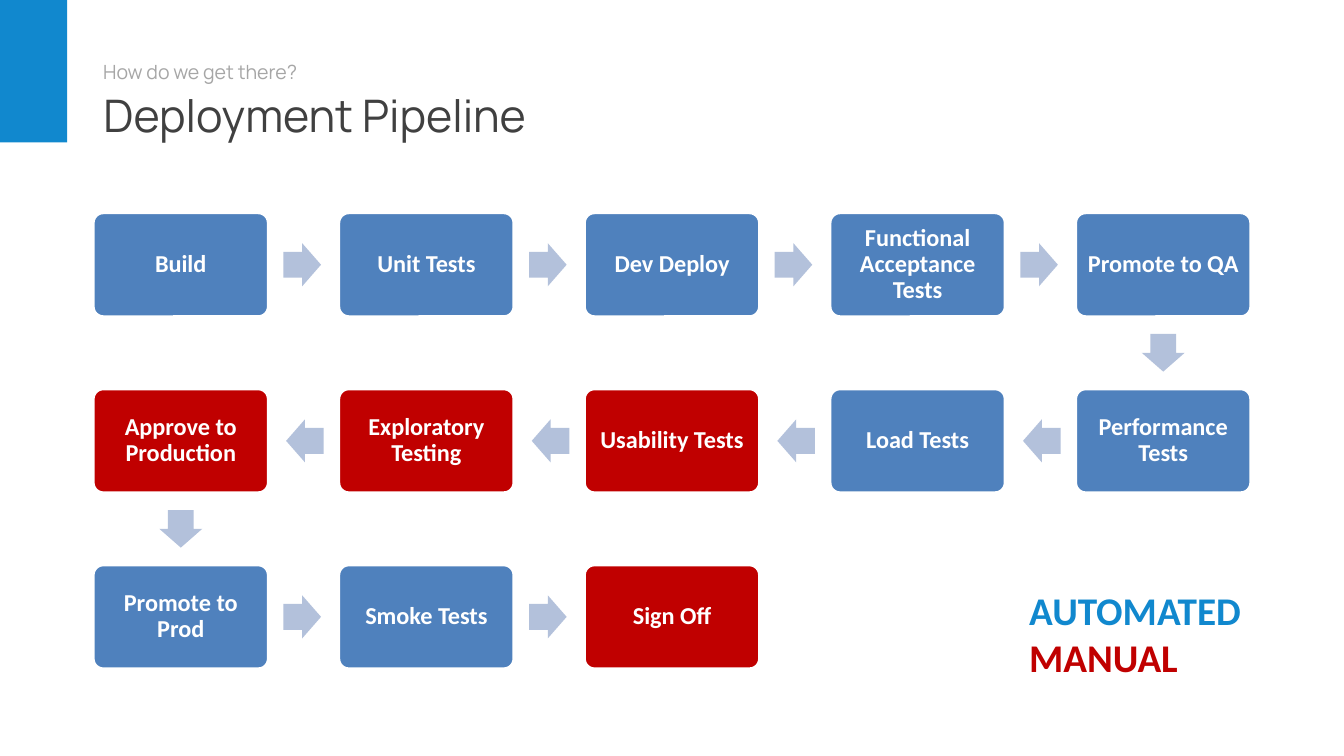
from pptx import Presentation
from pptx.dml.color import RGBColor
from pptx.enum.shapes import MSO_SHAPE
from pptx.enum.text import MSO_ANCHOR, MSO_AUTO_SIZE, PP_ALIGN
from pptx.util import Inches, Pt

RECT, ROUNDED, ARROW = MSO_SHAPE.RECTANGLE, MSO_SHAPE.ROUNDED_RECTANGLE, MSO_SHAPE.RIGHT_ARROW
TOP, MIDDLE = MSO_ANCHOR.TOP, MSO_ANCHOR.MIDDLE
LEFT, CENTER = PP_ALIGN.LEFT, PP_ALIGN.CENTER

# Content: steps in running order, with the kind of work each one is
TITLE = "Deployment Pipeline"
SUBTITLE = "How do we get there?"
STEPS = [
    ("Build", "auto"), ("Unit Tests", "auto"), ("Dev Deploy", "auto"),
    ("Functional Acceptance Tests", "auto"), ("Promote to QA", "auto"),
    ("Performance Tests", "auto"), ("Load Tests", "auto"),
    ("Usability Tests", "manual"), ("Exploratory Testing", "manual"),
    ("Approve to Production", "manual"),
    ("Promote to Prod", "auto"), ("Smoke Tests", "auto"), ("Sign Off", "manual"),
]
LEGEND = [("AUTOMATED", "accent"), ("MANUAL", "manual")]

COLORS = {"accent": "1188CE", "auto": "4F81BD", "manual": "C00000", "arrow": "B3C1DB",
          "title": "404040", "subtitle": "A6A6A6", "white": "FFFFFF"}
FORMATS = {
    "title": {"name": "Manrope", "size": Pt(24), "bold": False},
    "subtitle": {"name": "Manrope", "size": Pt(10.5), "bold": False},
    "step": {"name": "Calibri", "size": Pt(13), "bold": True},
    "legend": {"name": "Calibri", "size": Pt(21), "bold": True},
}

# Slide and grid in inches
SLIDE_W = 10
SLIDE_H = SLIDE_W * 9 / 16
COLS = 5
GRID_X, GRID_Y, LAST_X = 0.69, 1.58, 8
COL_PITCH, ROW_PITCH = (LAST_X - GRID_X) / (COLS - 1), 1.31
BOX_W, BOX_H = 1.31, 0.78
ARROW_W, ARROW_H = 0.28, 0.32


def rgb(key):
    return RGBColor.from_string(COLORS[key])


def add_shape(s, kind, box, fill, line=None):
    sp = s.shapes.add_shape(kind, *map(Inches, box))
    sp.shadow.inherit = False
    sp.fill.solid()
    sp.fill.fore_color.rgb = rgb(fill)
    if line:
        sp.line.color.rgb = rgb(line)
        sp.line.width = Pt(2)
    else:
        sp.line.fill.background()
    return sp


def write(sp, lines, style, align=LEFT, anchor=TOP, wrap=True):
    tf = sp.text_frame
    tf.word_wrap = wrap
    tf.auto_size = MSO_AUTO_SIZE.NONE
    tf.vertical_anchor = anchor
    for i, (text, color) in enumerate(lines):
        p = tf.add_paragraph() if i else tf.paragraphs[0]
        p.alignment = align
        r = p.add_run()
        r.text = text
        for name, value in FORMATS[style].items():
            setattr(r.font, name, value)
        r.font.color.rgb = rgb(color)
    return tf


def add_text(s, box, *args, **kwargs):
    return write(s.shapes.add_textbox(*map(Inches, box)), *args, **kwargs)


def cell_center(i):
    """Centre of step i; every second row runs right to left."""
    row, col = divmod(i, COLS)
    if row % 2:
        col = COLS - 1 - col
    return GRID_X + col * COL_PITCH + BOX_W / 2, GRID_Y + row * ROW_PITCH + BOX_H / 2


def add_step(s, i, text, kind):
    x, y = cell_center(i)
    sp = add_shape(s, ROUNDED, (x - BOX_W / 2, y - BOX_H / 2, BOX_W, BOX_H), kind, "white")
    sp.adjustments[0] = 0.1
    tf = write(sp, [(text, "white")], "step", CENTER, MIDDLE)
    tf.paragraphs[0].line_spacing = 0.9
    for side in ("left", "right", "top", "bottom"):
        setattr(tf, f"margin_{side}", Inches(0.07))


def add_arrow(s, i):
    """Arrow halfway between step i and the next one."""
    (x1, y1), (x2, y2) = cell_center(i), cell_center(i + 1)
    x, y = (x1 + x2) / 2, (y1 + y2) / 2
    if y2 > y1:
        angle = 90
    else:
        angle = 0 if x2 > x1 else 180
        x += -0.01 if x2 > x1 else 0.01
    sp = add_shape(s, ARROW, (x - ARROW_W / 2, y - ARROW_H / 2, ARROW_W, ARROW_H), "arrow")
    sp.adjustments[0], sp.adjustments[1] = 0.6, 0.5
    sp.rotation = angle


prs = Presentation()
prs.slide_width, prs.slide_height = Inches(SLIDE_W), Inches(SLIDE_H)
s = prs.slides.add_slide(prs.slide_layouts[5])

# Heading
add_shape(s, RECT, (0, 0, 0.5, 1.06), "accent")
title = s.shapes.title
title.left, title.top, title.width, title.height = map(Inches, (0.67, 0.38, 8.33, 0.94))
write(title, [(TITLE, "title")], "title", anchor=MIDDLE)
add_text(s, (0.67, 0.4, 5.5, 0.35), [(SUBTITLE, "subtitle")], "subtitle")

# Pipeline
for i, (text, kind) in enumerate(STEPS):
    add_step(s, i, text, kind)
    if i < len(STEPS) - 1:
        add_arrow(s, i)

# Legend
add_text(s, (7.56, 4.31, 1.86, 1.11), LEGEND, "legend", wrap=False)

prs.save("out.pptx")
